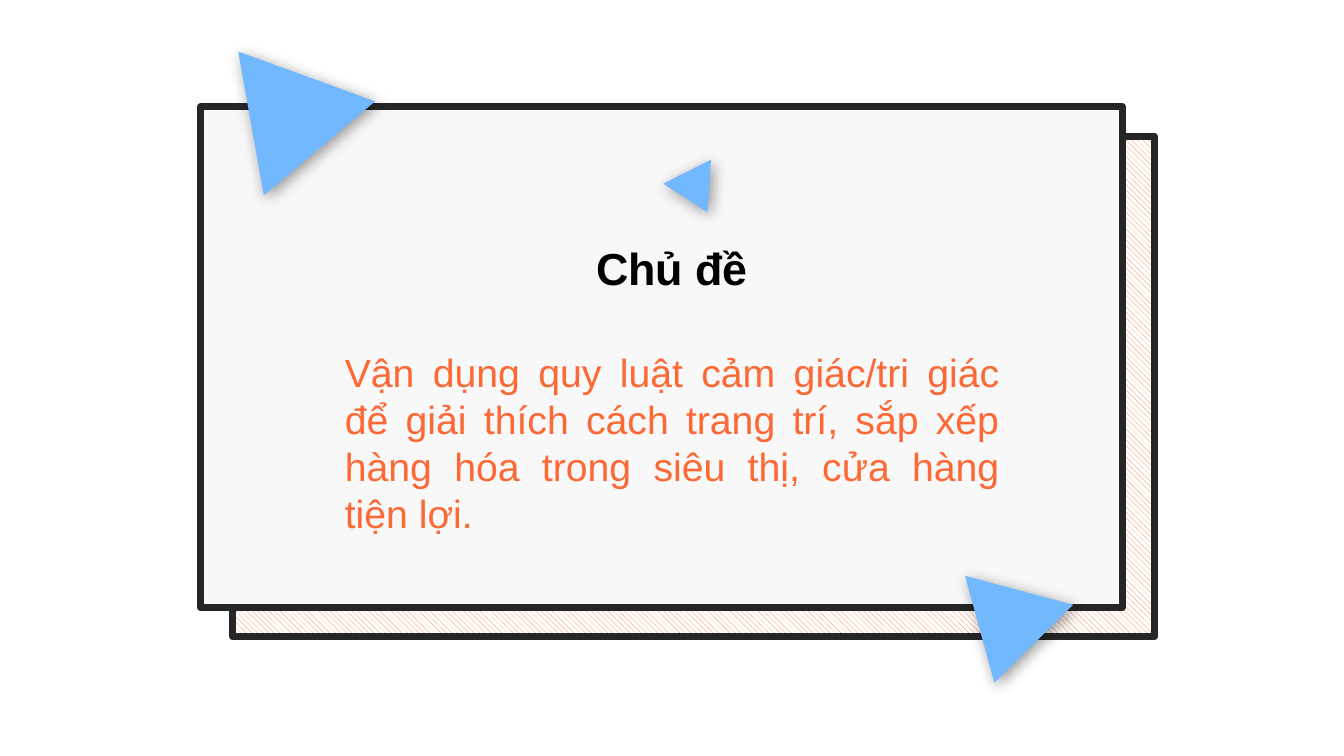
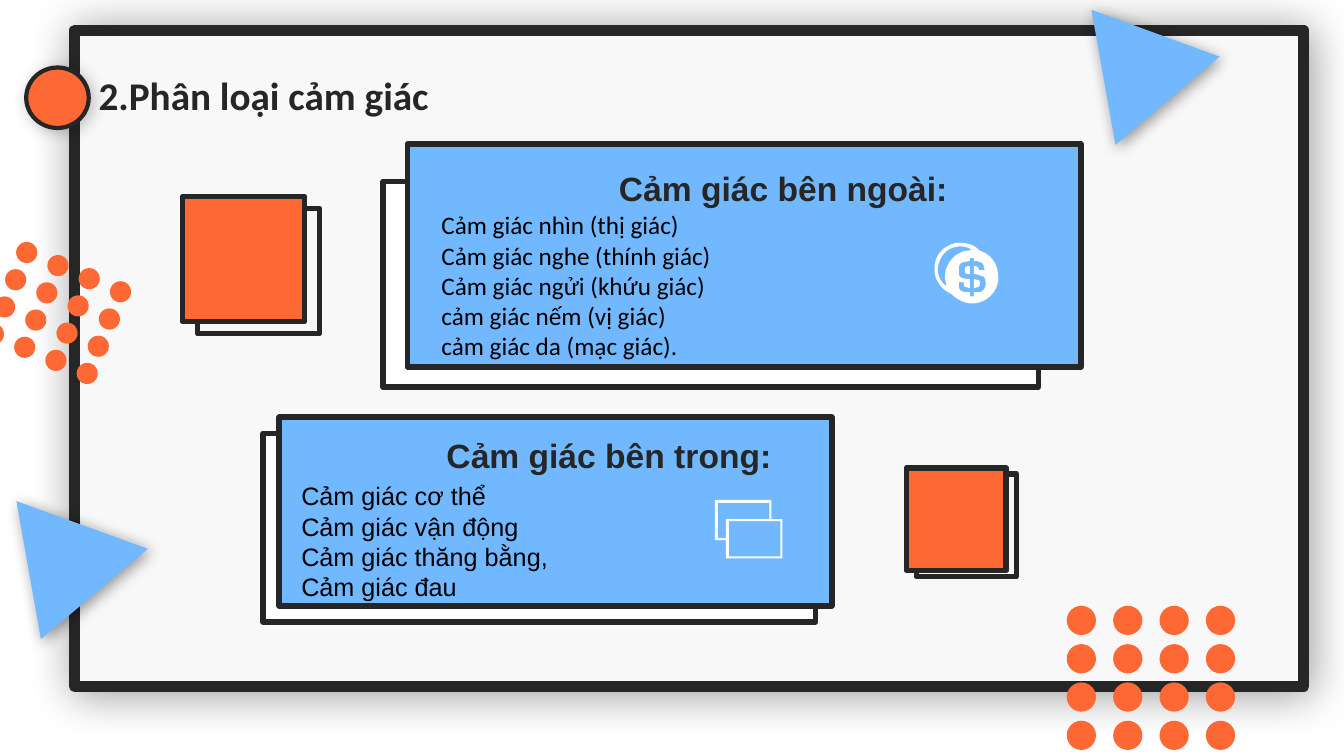
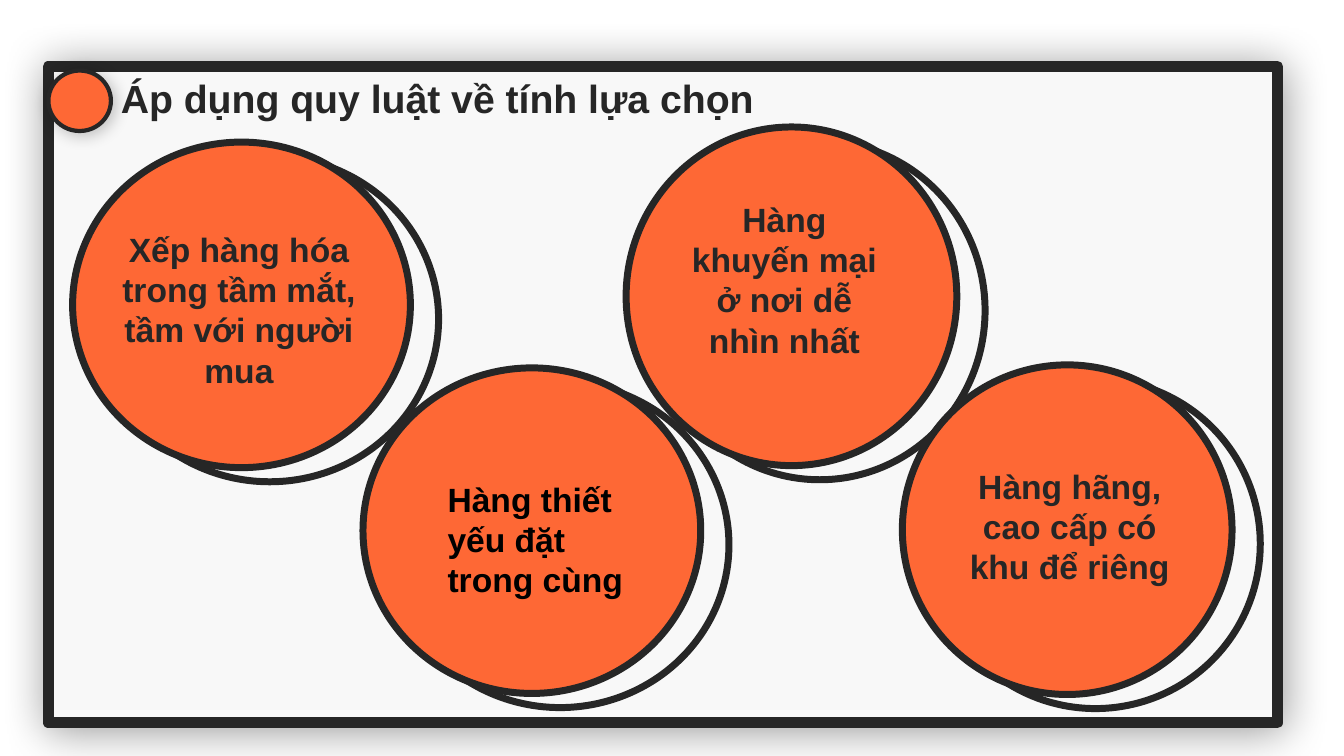
import dataclasses
from typing import Optional

import lxml.etree
import pptx
import pptx.dml.color
import pptx.enum.dml
import pptx.enum.shapes
import pptx.enum.text
import pptx.oxml.ns
import pptx.util

RGBColor = pptx.dml.color.RGBColor
Preset = pptx.enum.shapes.MSO_SHAPE
Align = pptx.enum.text.PP_ALIGN

# Shared look
ORANGE = RGBColor(0xFE, 0x68, 0x35)
BLUE = RGBColor(0x72, 0xB8, 0xFF)
INK = RGBColor(0x26, 0x26, 0x26)
PAPER = RGBColor(0xF8, 0xF8, 0xF8)
WHITE = RGBColor(0xFF, 0xFF, 0xFF)
BLACK = RGBColor(0x00, 0x00, 0x00)

# Grid: square cells, one inch a side
COLUMNS, ROWS = 13.33, 7.5


def cells(count: float) -> int:
    return pptx.util.Inches(count)


@dataclasses.dataclass(frozen=True)
class Box:
    left: float
    top: float
    width: float
    height: float

    def shifted(self, right: float, down: float) -> "Box":
        return Box(self.left + right, self.top + down, self.width, self.height)

    def lengths(self) -> list[int]:
        return [cells(n) for n in (self.left, self.top, self.width, self.height)]


@dataclasses.dataclass(frozen=True)
class Shadow:
    opacity: int
    blur: int
    distance: int = 3
    angle: int = 45


@dataclasses.dataclass(frozen=True)
class Panel:
    box: Box
    fill: RGBColor
    preset: Preset = Preset.RECTANGLE
    line: float = 0
    shadow: Optional[Shadow] = None
    rotation: float = 0
    hatched: bool = False


@dataclasses.dataclass(frozen=True)
class Style:
    size: int
    color: RGBColor
    bold: bool = False
    font: str = "Arial"
    align: Align = Align.LEFT
    before: float = 0


@dataclasses.dataclass(frozen=True)
class Line:
    text: str
    style: Style


@dataclasses.dataclass(frozen=True)
class Bubble:
    box: Box
    text_box: Box
    text: str
    style: Style


TRIANGLE_SHADOW = Shadow(40, 11)
FRAME_SHADOW = Shadow(40, 32)
BULLET_SHADOW = Shadow(23, 12)

HEADING = Style(24, INK, bold=True)
BUBBLE_TEXT = dataclasses.replace(HEADING, align=Align.CENTER)

# Icon contours: a start point, then L for lines and C for curves
COIN = (
    """9.9,2.72 C 9.89,2.61 9.83,2.53 9.73,2.49 9.72,2.49 9.71,2.48 9.71,2.48
    9.66,2.43 9.6,2.41 9.52,2.41 9.51,2.41 9.49,2.41 9.48,2.41
    9.34,2.44 9.25,2.56 9.27,2.7 9.28,2.79 9.33,2.86 9.42,2.91
    9.43,2.91 9.44,2.92 9.45,2.93 9.53,3 9.62,3.03 9.72,3
    9.84,2.96 9.92,2.84 9.9,2.72""",
    """9.39,2.84 C 9.35,2.82 9.3,2.75 9.3,2.67 9.31,2.58 9.35,2.51 9.42,2.47
    9.5,2.43 9.59,2.44 9.64,2.48 9.45,2.48 9.32,2.67 9.39,2.84""",
    """9.77,2.85 C 9.76,2.88 9.74,2.89 9.72,2.9
    L 9.66,2.9 9.66,2.94 9.62,2.94 9.62,2.9 9.57,2.9 9.54,2.89
    C 9.52,2.88 9.51,2.86 9.51,2.83 L 9.51,2.8 9.56,2.8 9.56,2.82
    C 9.56,2.84 9.57,2.85 9.59,2.85 L 9.62,2.86 9.62,2.77 9.58,2.77 9.56,2.76
    C 9.53,2.76 9.51,2.74 9.51,2.71 L 9.51,2.65 C 9.52,2.62 9.53,2.6 9.57,2.6
    L 9.61,2.59 9.62,2.58 9.62,2.56 9.66,2.56 9.66,2.59 9.7,2.59 9.71,2.6
    C 9.74,2.6 9.76,2.62 9.76,2.66 L 9.77,2.68 9.71,2.68
    C 9.71,2.65 9.69,2.64 9.66,2.64 L 9.66,2.72 9.68,2.72 9.74,2.74
    C 9.75,2.74 9.77,2.75 9.77,2.77 9.78,2.8 9.78,2.83 9.77,2.85""",
    "9.71,2.78 L 9.66,2.77 9.66,2.86 9.69,2.85 C 9.72,2.85 9.73,2.81 9.71,2.78",
    "9.57,2.7 C 9.58,2.72 9.6,2.72 9.62,2.72 L 9.62,2.64 C 9.6,2.64 9.58,2.64 9.57,2.66",
)
WINDOWS = (
    "7.65,5.15 L 7.65,4.96 7.09,4.96 7.09,5.36 7.2,5.36 7.2,5.54 7.76,5.54 7.76,5.15",
    "7.2,5.34 L 7.12,5.34 7.12,4.99 7.63,4.99 7.63,5.15 7.2,5.15",
    "7.74,5.52 L 7.23,5.52 7.23,5.17 7.74,5.17",
)
CURVE_STEPS = 6


# Drawing helpers
def add_shadow(shape, shadow: Shadow) -> None:
    qn = pptx.oxml.ns.qn
    effects = shape._element.spPr.find(qn("a:effectLst"))
    outer = lxml.etree.SubElement(
        effects, qn("a:outerShdw"),
        blurRad=str(int(pptx.util.Pt(shadow.blur))),
        dist=str(int(pptx.util.Pt(shadow.distance))),
        dir=str(shadow.angle * 60000), algn="tl", rotWithShape="0")
    color = lxml.etree.SubElement(outer, qn("a:srgbClr"), val=str(BLACK))
    lxml.etree.SubElement(color, qn("a:alpha"), val=str(shadow.opacity * 1000))


def add_panel(page, panel: Panel) -> None:
    shape = page.shapes.add_shape(panel.preset, *panel.box.lengths())
    shape.rotation = panel.rotation
    if panel.hatched:
        shape.fill.patterned()
        shape.fill.pattern = pptx.enum.dml.MSO_PATTERN.WIDE_DOWNWARD_DIAGONAL
        shape.fill.fore_color.rgb = panel.fill
        shape.fill.back_color.rgb = WHITE
    else:
        shape.fill.solid()
        shape.fill.fore_color.rgb = panel.fill
    if panel.line:
        shape.line.color.rgb = INK
        shape.line.width = pptx.util.Pt(panel.line)
    else:
        shape.line.fill.background()
    shape.shadow.inherit = False
    if panel.shadow:
        add_shadow(shape, panel.shadow)


def add_stack(page, front: Panel, right: float, down: float,
              back_fill: RGBColor, hatched: bool = False) -> None:
    """Draw a panel with a shifted twin behind it."""
    add_panel(page, dataclasses.replace(
        front, box=front.box.shifted(right, down), fill=back_fill, hatched=hatched))
    add_panel(page, front)


def add_triangle(page, box: Box, rotation: float = 79.9) -> None:
    add_panel(page, Panel(box, BLUE, Preset.ISOSCELES_TRIANGLE,
                          shadow=TRIANGLE_SHADOW, rotation=rotation))


def add_dots(page, first: Box, across: tuple[float, float],
             down: tuple[float, float], count: int = 4) -> None:
    for row in range(count):
        for column in range(count):
            box = first.shifted(column * across[0] + row * down[0],
                                column * across[1] + row * down[1])
            add_panel(page, Panel(box, ORANGE, Preset.OVAL))


def add_text(page, box: Box, lines: list[Line], wrap: bool = True,
             inset: bool = True) -> None:
    frame = page.shapes.add_textbox(*box.lengths()).text_frame
    frame.word_wrap = wrap
    frame.auto_size = pptx.enum.text.MSO_AUTO_SIZE.SHAPE_TO_FIT_TEXT
    if not inset:
        frame.margin_left = frame.margin_right = 0
        frame.margin_top = frame.margin_bottom = 0
    for index, line in enumerate(lines):
        para = frame.add_paragraph() if index else frame.paragraphs[0]
        para.alignment = line.style.align
        if line.style.before:
            para.space_before = pptx.util.Pt(line.style.before)
        span = para.add_run()
        span.text = line.text
        span.font.name = line.style.font
        span.font.size = pptx.util.Pt(line.style.size)
        span.font.bold = line.style.bold
        span.font.color.rgb = line.style.color


def trace(contour: str) -> list[tuple[float, float]]:
    """Turn a contour into points, with its curves sampled."""
    points, controls, mode = [], [], "L"
    for token in contour.split():
        if token in ("L", "C"):
            mode = token
            continue
        x, y = (float(number) for number in token.split(","))
        if mode == "L":
            points.append((x, y))
            continue
        controls.append((x, y))
        if len(controls) == 3:
            a, (b, c, d) = points[-1], controls
            for step in range(1, CURVE_STEPS + 1):
                t = step / CURVE_STEPS
                u = 1 - t
                points.append(tuple(
                    u**3 * a[i] + 3 * u * u * t * b[i] + 3 * u * t * t * c[i] + t**3 * d[i]
                    for i in (0, 1)))
            controls = []
    return points


def add_icon(page, outline: tuple[str, ...]) -> None:
    contours = [[(cells(x), cells(y)) for x, y in trace(contour)] for contour in outline]
    builder = page.shapes.build_freeform(*contours[0][0])
    for index, points in enumerate(contours):
        if index:
            builder.move_to(*points[0])
        builder.add_line_segments(points[1:], close=True)
    icon = builder.convert_to_shape()
    icon.fill.solid()
    icon.fill.fore_color.rgb = WHITE
    icon.line.fill.background()
    icon.shadow.inherit = False


def add_titled_frame(page, frame: Box, bullet: Box, title_box: Box,
                     title: str, font: str) -> None:
    add_panel(page, Panel(frame, PAPER, line=8, shadow=FRAME_SHADOW))
    add_panel(page, Panel(bullet, ORANGE, Preset.OVAL, 3, BULLET_SHADOW))
    add_text(page, title_box, [Line(title, Style(28, INK, True, font))], wrap=False)


# Slides
def build_topic(page) -> None:
    add_stack(page, Panel(Box(1.99, 1.06, 9.14, 4.97), PAPER, line=5),
              0.32, 0.29, ORANGE, hatched=True)
    add_triangle(page, Box(2.38, 0.49, 1.45, 1.25))
    add_triangle(page, Box(6.65, 1.68, 0.53, 0.45), 153.4)
    add_text(page, Box(3.42, 2.39, 6.49, 2.96), [
        Line("Chủ đề", Style(32, BLACK, True, align=Align.CENTER)),
        Line("Vận dụng quy luật cảm giác/tri giác để giải thích cách trang trí, "
             "sắp xếp hàng hóa trong siêu thị, cửa hàng tiện lợi.",
             Style(28, ORANGE, align=Align.JUSTIFY, before=38)),
    ], inset=False)
    add_triangle(page, Box(9.43, 5.84, 1.11, 0.95), 195)


def build_kinds(page) -> None:
    add_titled_frame(page, Box(0.74, 0.3, 12.19, 6.51), Box(0.26, 0.67, 0.62, 0.6),
                     Box(0.88, 0.66, 3.51, 0.57), "2.Phân loại cảm giác", "Calibri")

    # Cards and squares
    add_panel(page, Panel(Box(3.8, 1.8, 6.5, 2.04), WHITE, line=4))
    add_panel(page, Panel(Box(4.04, 1.43, 6.68, 2.21), BLUE, line=4))
    add_stack(page, Panel(Box(2.77, 4.14, 5.48, 1.87), BLUE, line=4), -0.16, 0.16, WHITE)
    add_stack(page, Panel(Box(1.81, 1.95, 1.21, 1.24), ORANGE, line=4), 0.15, 0.12, PAPER)
    add_stack(page, Panel(Box(8.99, 4.64, 0.99, 1.02), ORANGE, line=4), 0.1, 0.06, PAPER)
    add_icon(page, COIN)
    add_icon(page, WINDOWS)

    # Card wording
    outer = Style(18, BLACK, font="Calibri", align=Align.JUSTIFY)
    add_text(page, Box(4.28, 2.03, 3.96, 1.62), [Line(text, outer) for text in (
        "Cảm giác nhìn (thị giác)", "Cảm giác nghe (thính giác)",
        "Cảm giác ngửi (khứu giác)", "cảm giác nếm (vị giác)",
        "cảm giác da (mạc giác).")])
    add_text(page, Box(6.04, 1.62, 3.49, 0.5),
             [Line("Cảm giác bên ngoài:", HEADING)], wrap=False)
    inner = Style(18, BLACK)
    add_text(page, Box(2.89, 4.72, 5.04, 1.31), [Line(text, inner) for text in (
        "Cảm giác cơ thể", "Cảm giác vận động", "Cảm giác thăng bằng,", "Cảm giác đau")])
    add_text(page, Box(4.33, 4.27, 3.45, 0.5),
             [Line("Cảm giác bên trong:", HEADING)], wrap=False)

    # Ornaments
    add_triangle(page, Box(10.84, 0.08, 1.36, 1.17))
    add_triangle(page, Box(0.18, 4.95, 1.39, 1.2))
    add_dots(page, Box(10.58, 6.01, 0.29, 0.29), (0.46, 0), (0, 0.38))
    add_dots(page, Box(0.16, 2.4, 0.21, 0.21), (0.31, 0.13), (-0.11, 0.27))


def build_selection(page) -> None:
    add_titled_frame(page, Box(0.48, 0.66, 12.19, 6.51), Box(0.48, 0.7, 0.62, 0.6),
                     Box(1.1, 0.69, 6.56, 0.57), "Áp dụng quy luật về tính lựa chọn", "Arial")
    bubbles = [
        Bubble(Box(0.72, 1.41, 3.35, 3.23), Box(0.95, 2.22, 2.84, 1.72),
               "Xếp hàng hóa trong tầm mắt, tầm với người mua", BUBBLE_TEXT),
        Bubble(Box(6.21, 1.26, 3.28, 3.36), Box(6.68, 1.92, 2.2, 1.72),
               "Hàng khuyến mại ở nơi dễ nhìn nhất", BUBBLE_TEXT),
        Bubble(Box(8.95, 3.62, 3.27, 3.27), Box(9.41, 4.57, 2.4, 1.31),
               "Hàng hãng, cao cấp có khu để riêng", BUBBLE_TEXT),
        Bubble(Box(3.6, 3.65, 3.35, 3.23), Box(4.34, 4.7, 2.21, 1.31),
               "Hàng thiết yếu đặt trong cùng", Style(24, BLACK, True)),
    ]
    for bubble in bubbles:
        add_stack(page, Panel(bubble.box, ORANGE, Preset.OVAL, 5), 0.28, 0.14, PAPER)
        add_text(page, bubble.text_box, [Line(bubble.text, bubble.style)])


def main() -> None:
    deck = pptx.Presentation()
    deck.slide_width, deck.slide_height = cells(COLUMNS), cells(ROWS)
    blank = deck.slide_layouts[6]
    for build in (build_topic, build_kinds, build_selection):
        build(deck.slides.add_slide(blank))
    deck.save("out.pptx")


if __name__ == "__main__":
    main()
